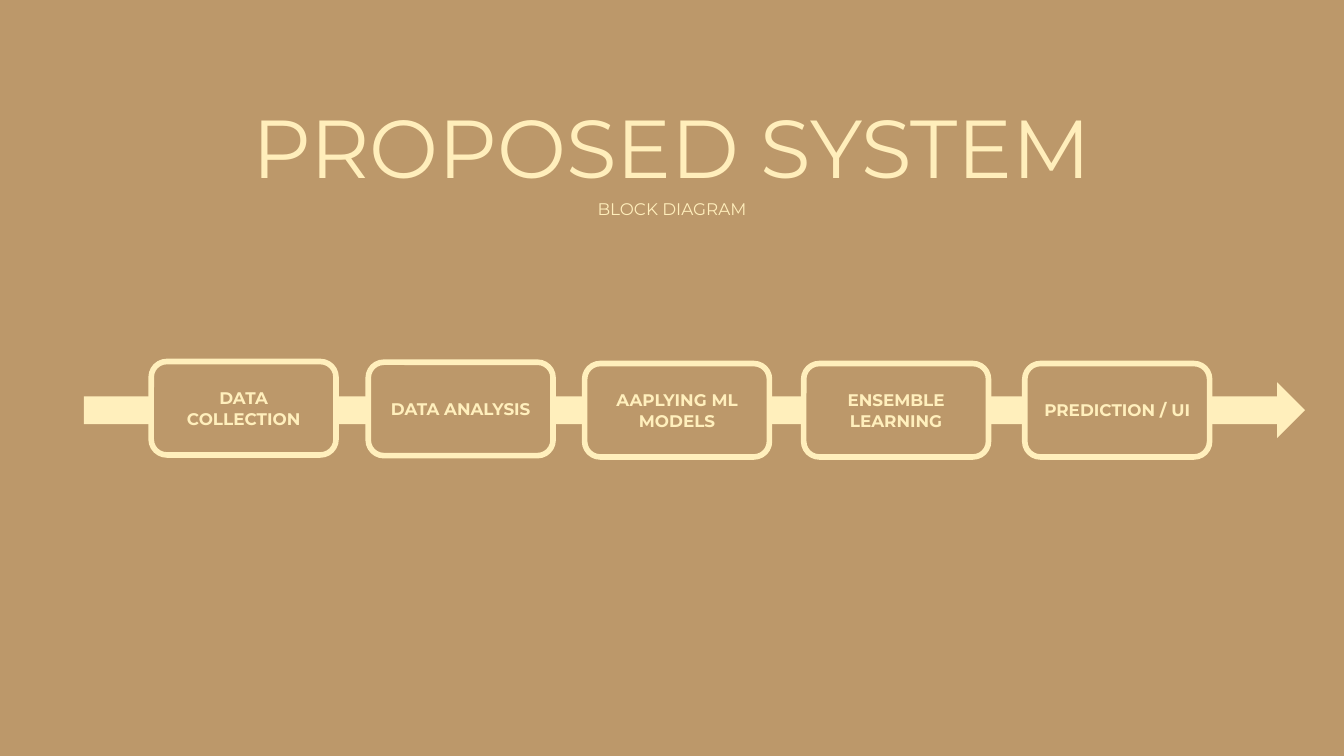
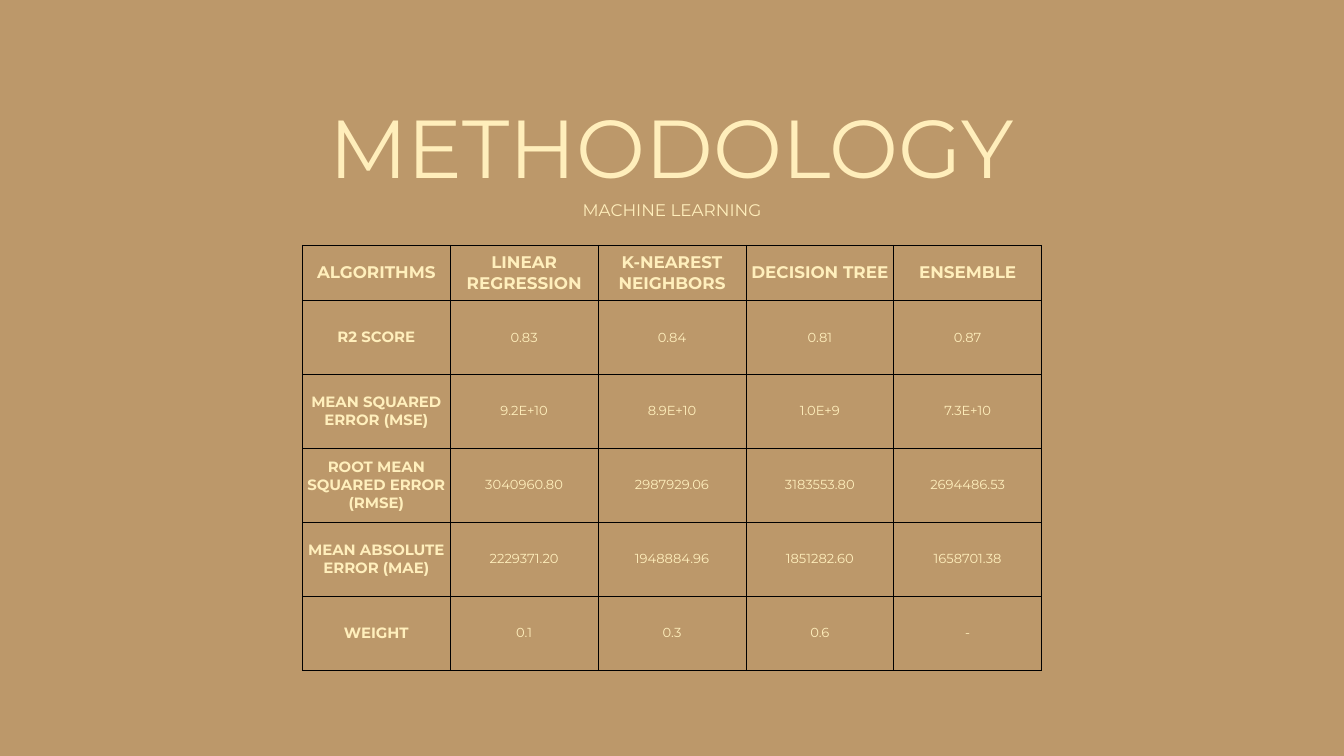
import dataclasses

import pptx
import pptx.dml.color
import pptx.enum.shapes
import pptx.enum.text
import pptx.oxml
import pptx.oxml.ns
import pptx.util

PIXEL = 9144  # EMU; 100 px to the inch
SHAPES = pptx.enum.shapes.MSO_SHAPE
MIDDLE = pptx.enum.text.MSO_ANCHOR.MIDDLE
CENTER = pptx.enum.text.PP_ALIGN.CENTER
FIT_SHAPE = pptx.enum.text.MSO_AUTO_SIZE.SHAPE_TO_FIT_TEXT


@dataclasses.dataclass(frozen=True)
class Theme:
    font: str = "Montserrat"
    background: str = "BC986A"
    title: str = "FFEEBB"
    accent: str = "FFEFBC"
    border: str = "000000"
    title_size: int = 88
    title_spacing: int = 104
    text_size: int = 18
    row_label_size: int = 16
    value_size: int = 14
    outline: int = 6
    border_width: int = 1


def px(length):
    return pptx.util.Emu(length * PIXEL)


def rgb(color):
    return pptx.dml.color.RGBColor.from_string(color)


def apply(target, values):
    for name, value in values.items():
        setattr(target, name, value)


class Deck:
    def __init__(self, theme):
        self.theme = theme
        self.presentation = pptx.Presentation()
        apply(self.presentation, {"slide_width": px(2000), "slide_height": px(1125)})
        self.slide = None

    def add_slide(self):
        self.slide = self.presentation.slides.add_slide(self.presentation.slide_layouts[6])
        self.fill(self.slide.background, self.theme.background)

    def fill(self, target, color):
        target.fill.solid()
        target.fill.fore_color.rgb = rgb(color)

    def set_text(self, frame, text, size, color, bold=False, spacing=None):
        paragraph = frame.paragraphs[0]
        apply(paragraph, {"alignment": CENTER, "line_spacing": spacing})
        run = paragraph.add_run()
        run.text = text
        apply(run.font, {"name": self.theme.font, "size": pptx.util.Pt(size), "bold": bold})
        run.font.color.rgb = rgb(color)

    def text(self, box, text, size, frame_format=None, spacing=None):
        shape = self.slide.shapes.add_textbox(*map(px, box))
        apply(shape.text_frame, {"word_wrap": True, "auto_size": FIT_SHAPE, **(frame_format or {})})
        self.set_text(shape.text_frame, text, size, self.theme.title, spacing=spacing)

    def heading(self, title, subtitle, top):
        no_margins = {f"margin_{side}": 0 for side in ("left", "top", "right", "bottom")}
        self.text((244, top, 1511, 146), title, self.theme.title_size, no_margins,
                  pptx.util.Pt(self.theme.title_spacing))
        self.text((500, top + 146, 1000, 40), subtitle, self.theme.text_size)

    def shape(self, kind, box, color):
        shape = self.slide.shapes.add_shape(kind, *map(px, box))
        shape.shadow.inherit = False
        self.fill(shape, color)
        shape.line.fill.background()
        return shape

    def step(self, box, label):
        shape = self.shape(SHAPES.ROUNDED_RECTANGLE, box, self.theme.background)
        self.fill(shape.line, self.theme.accent)
        shape.line.width = pptx.util.Pt(self.theme.outline)
        apply(shape.text_frame, {"word_wrap": True, "vertical_anchor": MIDDLE})
        self.set_text(shape.text_frame, label, self.theme.text_size, self.theme.accent, True)

    def cell_borders(self, cell):
        properties = cell._tc.get_or_add_tcPr()
        width = pptx.util.Pt(self.theme.border_width)
        for side in "LRTB":
            properties.append(pptx.oxml.parse_xml(
                f'<a:ln{side} {pptx.oxml.ns.nsdecls("a")} w="{width}"><a:solidFill>'
                f'<a:srgbClr val="{self.theme.border}"/></a:solidFill></a:ln{side}>'))

    def table(self, left, top, column_width, row_heights, rows):
        columns = len(rows[0])
        box = (left, top, column_width * columns, sum(row_heights))
        table = self.slide.shapes.add_table(len(rows), columns, *map(px, box)).table
        apply(table, {"first_row": False, "horz_banding": False})
        for column in table.columns:
            column.width = px(column_width)
        cell_format = {"vertical_anchor": MIDDLE, "margin_left": px(7), "margin_right": px(7),
                       "margin_top": 0, "margin_bottom": 0}
        for row_index, (height, values) in enumerate(zip(row_heights, rows)):
            table.rows[row_index].height = px(height)
            for column_index, value in enumerate(values):
                cell = table.cell(row_index, column_index)
                apply(cell, cell_format)
                self.cell_borders(cell)
                cell.fill.background()
                if row_index == 0:
                    size = self.theme.text_size
                elif column_index == 0:
                    size = self.theme.row_label_size
                else:
                    size = self.theme.value_size
                is_header = row_index == 0 or column_index == 0
                self.set_text(cell.text_frame, value, size, self.theme.accent, is_header)


# Block diagram: left, top and label of each step
STEPS = [
    (225, 538, "DATA COLLECTION"),
    (548, 539, "DATA ANALYSIS"),
    (870, 541, "AAPLYING ML MODELS"),
    (1196, 541, "ENSEMBLE LEARNING"),
    (1525, 541, "PREDICTION / UI"),
]

# Model comparison
SCORES = [
    ("ALGORITHMS", "LINEAR REGRESSION", "K-NEAREST NEIGHBORS", "DECISION TREE", "ENSEMBLE"),
    ("R2 SCORE", "0.83", "0.84", "0.81", "0.87"),
    ("MEAN SQUARED ERROR (MSE)", "9.2E+10", "8.9E+10", "1.0E+9", "7.3E+10"),
    ("ROOT MEAN SQUARED ERROR (RMSE)", "3040960.80", "2987929.06", "3183553.80", "2694486.53"),
    ("MEAN ABSOLUTE ERROR (MAE)", "2229371.20", "1948884.96", "1851282.60", "1658701.38"),
    ("WEIGHT", "0.1", "0.3", "0.6", "-"),
]


def proposed_system(deck):
    deck.add_slide()
    deck.shape(SHAPES.RIGHT_ARROW, (125, 569, 1817, 83), deck.theme.accent)
    for left, top, label in STEPS:
        deck.step((left, top, 275, 139), label)
    deck.heading("PROPOSED SYSTEM", "BLOCK DIAGRAM", 145)


def methodology(deck):
    deck.add_slide()
    deck.table(450, 365, 220, [82] + [110] * 5, SCORES)
    deck.heading("METHODOLOGY", "MACHINE LEARNING", 146)


def main():
    deck = Deck(Theme())
    proposed_system(deck)
    methodology(deck)
    deck.presentation.save("out.pptx")


if __name__ == "__main__":
    main()
